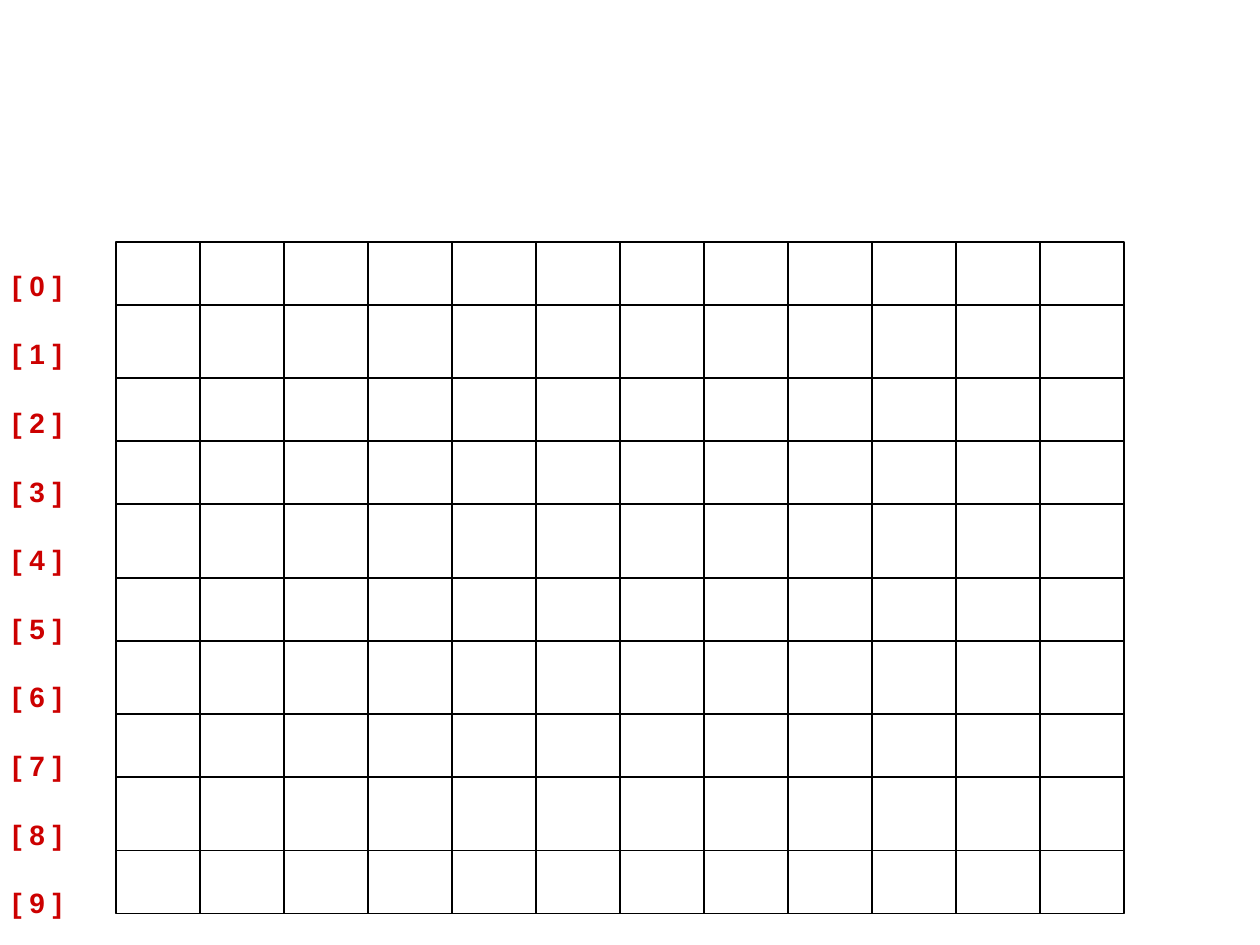
"""Build a slide with an empty grid whose rows are labelled by index."""
from dataclasses import dataclass
from itertools import accumulate

from lxml import etree
from pptx import Presentation
from pptx.dml.color import RGBColor
from pptx.enum.shapes import MSO_CONNECTOR, MSO_SHAPE
from pptx.enum.text import MSO_ANCHOR, PP_ALIGN
from pptx.oxml.ns import qn
from pptx.util import Inches, Pt

STRAIGHT = MSO_CONNECTOR.STRAIGHT
RECTANGLE = MSO_SHAPE.RECTANGLE
TOP = MSO_ANCHOR.TOP
LEFT = PP_ALIGN.LEFT

COLUMN_COUNT = 12
ROW_TWELFTHS = [6, 7, 6, 6, 7, 6, 7, 6, 7, 6]


@dataclass(frozen=True)
class Theme:
    """Colours, font and sizes of the slide."""
    rule: RGBColor = RGBColor(0x00, 0x00, 0x00)
    index: RGBColor = RGBColor(0xCC, 0x00, 0x00)
    font: str = "Arial"
    index_size: Pt = Pt(16)
    index_gap: Pt = Pt(20)
    rule_width: Pt = Pt(0.99)


THEME = Theme()


def style_rule(line):
    """Give a line or outline the grid's colour and width."""
    line.color.rgb = THEME.rule
    line.width = THEME.rule_width


def add_column(slide, left, top, width, height):
    """Draw one grouped grid column with its row dividers."""
    column = slide.shapes.add_group_shape().shapes
    frame = column.add_shape(RECTANGLE, left, top, width, height)
    frame.shadow.inherit = False
    frame.fill.background()
    style_rule(frame.line)
    for twelfths in accumulate(ROW_TWELFTHS[:-1]):
        y = top + int(height * twelfths / sum(ROW_TWELFTHS))
        divider = column.add_connector(STRAIGHT, left, y, left + width, y)
        style_rule(divider.line)
        etree.SubElement(divider.element.spPr, qn("a:effectLst"))


def add_grid(slide, left, top, width, height):
    """Draw equal columns side by side across the box."""
    column_width = width // COLUMN_COUNT
    for column in range(COLUMN_COUNT):
        add_column(slide, left + column * column_width, top, column_width, height)


def add_row_indices(slide, left, top, width, height):
    """Write the bracketed row numbers down the box."""
    indices = slide.shapes.add_textbox(left, top, width, height).text_frame
    indices.word_wrap = False
    indices.vertical_anchor = TOP
    indices.text = "\n".join(f"[ {row} ]" for row in range(len(ROW_TWELFTHS)))
    for index in indices.paragraphs:
        index.alignment = LEFT
        index.space_after = THEME.index_gap
        font = index.runs[0].font
        font.name = THEME.font
        font.size = THEME.index_size
        font.bold = True
        font.color.rgb = THEME.index


def main():
    """Build and save the presentation."""
    presentation = Presentation()
    presentation.slide_width = Inches(10)
    presentation.slide_height = Inches(7.5)
    slide = presentation.slides.add_slide(presentation.slide_layouts[6])
    add_grid(slide, Inches(0.92), Inches(1.92), Inches(8), Inches(5.33))
    add_row_indices(slide, Inches(0), Inches(2.08), Inches(0.6), Inches(5.17))
    presentation.save("out.pptx")


main()
